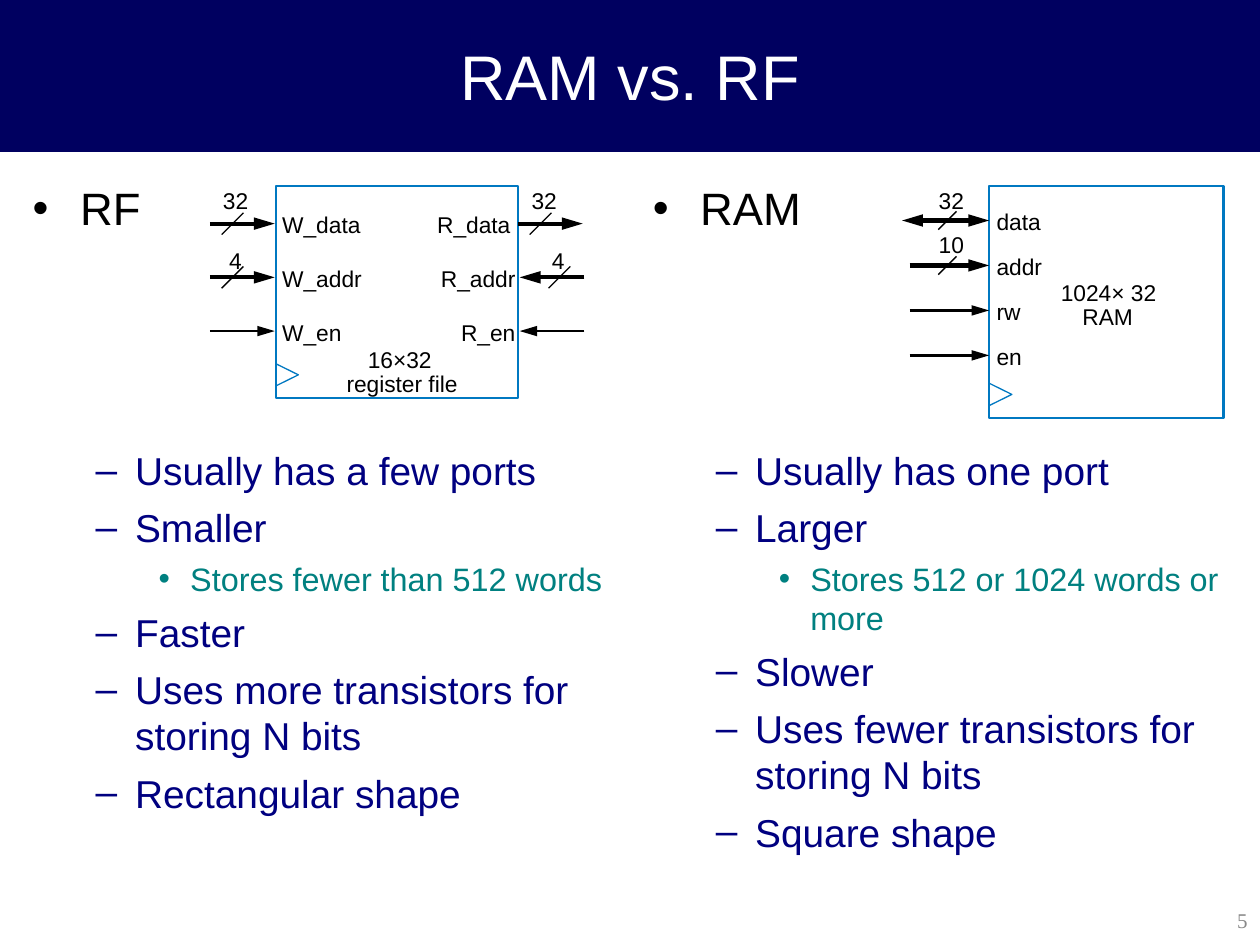
from lxml.etree import SubElement as Sub
from pptx import Presentation as Deck
from pptx.dml.color import RGBColor as RGB
from pptx.enum.shapes import MSO_CONNECTOR as Conn, MSO_SHAPE as Form
from pptx.enum.text import MSO_ANCHOR as Anchor, MSO_AUTO_SIZE as Fit, PP_ALIGN as Align
from pptx.oxml.ns import qn
from pptx.util import Pt

NAVY = RGB(0x00, 0x00, 0x60)
BLUE = RGB(0x00, 0x00, 0x80)
TEAL = RGB(0x00, 0x80, 0x80)
EDGE = RGB(0x00, 0x78, 0xC1)
GREY = RGB(0x89, 0x89, 0x89)
BLACK = RGB(0x00, 0x00, 0x00)
WHITE = RGB(0xFF, 0xFF, 0xFF)

LEVELS = [
    {"size": 25.9, "color": BLACK, "left": 27, "hang": 27, "gap": 0},
    {"size": 22.2, "color": BLUE, "left": 58.5, "hang": 22.5, "gap": 6},
    {"size": 18.5, "color": TEAL, "left": 90, "hang": 18, "gap": 5},
]
ART_GAP = 121
SLACK = 4
BARE = {"margin_left": 0, "margin_right": 0, "margin_top": 0, "margin_bottom": 0,
        "word_wrap": False, "auto_size": Fit.SHAPE_TO_FIT_TEXT}
PLAIN = {"word_wrap": True, "auto_size": Fit.NONE}

RF_LIST = [(0, "RF"), (1, "Usually has a few ports"), (1, "Smaller"),
           (2, "Stores fewer than 512 words"), (1, "Faster"),
           (1, "Uses more transistors for storing N bits"), (1, "Rectangular shape")]
RAM_LIST = [(0, "RAM"), (1, "Usually has one port"), (1, "Larger"),
            (2, "Stores 512 or 1024 words or more"), (1, "Slower"),
            (1, "Uses fewer transistors for storing N bits"), (1, "Square shape")]


def put(item, vals):
    """Set each named value on the item."""
    for name, val in vals.items():
        setattr(item, name, val)


def place(shape, left, top, width, height):
    """Move and size a shape, in points."""
    put(shape, {"left": Pt(left), "top": Pt(top), "width": Pt(width), "height": Pt(height)})


def ink(font, size, color, name="Arial"):
    """Give a font its face, size and colour."""
    put(font, {"name": name, "size": Pt(size)})
    font.color.rgb = color


def stroke(shape, color, width):
    """Give a shape its line."""
    shape.line.color.rgb = color
    shape.line.width = Pt(width)


def add_title(slide, text):
    """Fill the title band."""
    title = slide.shapes.title
    place(title, 0, 0, 720, 86.4)
    title.fill.solid()
    title.fill.fore_color.rgb = NAVY
    stroke(title, NAVY, 0.75)
    frame = title.text_frame
    put(frame, {"text": text, "vertical_anchor": Anchor.MIDDLE, **PLAIN})
    frame.paragraphs[0].alignment = Align.CENTER
    ink(frame.paragraphs[0].font, 36, WHITE)


def add_list(body, left, items):
    """Fill a list, leaving room for the diagram under its head."""
    place(body, left, 99.4, 342, 411.8)
    frame = body.text_frame
    put(frame, PLAIN)
    for i, (level, text) in enumerate(items):
        para = frame.add_paragraph() if i else frame.paragraphs[0]
        style = LEVELS[level]
        gap = ART_GAP if i == 1 else style["gap"]
        put(para, {"text": text, "level": level, "space_before": Pt(gap), "line_spacing": 1.0})
        ink(para.font, style["size"], style["color"])
        props = para._p.get_or_add_pPr()
        props.set("marL", str(Pt(style["left"])))
        props.set("indent", str(-Pt(style["hang"])))


def add_label(shapes, left, top, width, text):
    """Add a small diagram label."""
    box = shapes.add_textbox(Pt(left), Pt(top), Pt(width + SLACK), Pt(15.8))
    put(box.text_frame, {"text": text, **BARE})
    ink(box.text_frame.paragraphs[0].font, 13, BLACK)


def add_line(shapes, start, end, width, heads=()):
    """Add a straight line with arrowheads at the named ends."""
    points = [Pt(val) for val in (*start, *end)]
    line = shapes.add_connector(Conn.STRAIGHT, *points)
    stroke(line, BLACK, width)
    for head in heads:
        Sub(line.line._get_or_add_ln(), qn("a:" + head), type="triangle", w="med", len="lg")
    Sub(line._element.spPr, qn("a:effectLst"))


def add_tick(shapes, x, y, half):
    """Add the slash that marks a bus."""
    add_line(shapes, (x + half, y - half), (x - half, y + half), 0.75)


def add_block(shapes, left, top, width, height, line, clock):
    """Add the block's frame and its clock mark."""
    box = shapes.add_shape(Form.RECTANGLE, Pt(left), Pt(top), Pt(width), Pt(height))
    build = shapes.build_freeform(Pt(left), Pt(clock + 6.4))
    build.add_line_segments([(Pt(left + 13), Pt(clock)), (Pt(left), Pt(clock - 6.4))], close=False)
    for shape, weight in ((box, line), (build.convert_to_shape(), 0.75)):
        shape.fill.background()
        stroke(shape, EDGE, weight)
        shape.shadow.inherit = False


def add_ports(shapes, top, step, half, ports):
    """Add one row per port: arrow, label, and bus width if any."""
    for i, (start, end, heads, name, at, wide, bus) in enumerate(ports):
        y = top + step * i
        add_line(shapes, (start, y), (end, y), 2.38 if bus else 1.5, heads)
        add_label(shapes, at, y - 7.2, wide, name)
        if bus:
            text, x, lift, mid = bus
            add_label(shapes, x, y - lift, 7.2 * len(text), text)
            add_tick(shapes, mid, y, half)


def draw_rf(shapes):
    """Draw the register file."""
    add_block(shapes, 157.5, 106.5, 138.5, 121, 1.13, 214.2)
    tail = ["tailEnd"]
    add_ports(shapes, 127.8, 30.7, 6.2, [
        (120, 157, tail, "W_data", 161.3, 46, ("32", 127.4, 21.3, 132.9)),
        (120, 157, tail, "W_addr", 161.3, 46, ("4", 131, 17.4, 132.9)),
        (120, 157, tail, "W_en", 161.3, 35, None)])
    add_ports(shapes, 127.8, 30.7, 6.2, [
        (296, 333, tail, "R_data", 249.8, 42, ("32", 303.8, 21.3, 308.9)),
        (334, 297, tail, "R_addr", 252, 43, ("4", 315.4, 17.4, 319.7)),
        (334, 297, tail, "R_en", 263.5, 32, None)])
    add_label(shapes, 210.2, 197.3, 37, "16×32")
    add_label(shapes, 198, 211, 64, "register file")


def draw_ram(shapes):
    """Draw the memory."""
    add_block(shapes, 565.2, 106.5, 134, 132.5, 1.25, 225.4)
    tail = ["tailEnd"]
    add_ports(shapes, 126, 25.7, 5.2, [
        (515.5, 565.2, ["headEnd", "tailEnd"], "data", 569.5, 26, ("32", 536.4, 19.4, 541.4)),
        (519.8, 565.2, tail, "addr", 569.5, 27, ("10", 536.4, 20, 541.4)),
        (519.8, 565.2, tail, "rw", 569.5, 14, None),
        (519.8, 565.2, tail, "en", 569.5, 15, None)])
    add_label(shapes, 606.2, 159.1, 56, "1024× 32")
    add_label(shapes, 618.5, 172.8, 30, "RAM")


def add_page(slide, text):
    """Add the page number."""
    box = slide.shapes.add_textbox(Pt(567.4), Pt(511.2), Pt(152.6), Pt(28.8))
    put(box.text_frame, {"text": text, "vertical_anchor": Anchor.MIDDLE, **PLAIN})
    para = box.text_frame.paragraphs[0]
    para.alignment = Align.RIGHT
    ink(para.font, 12, GREY, "Times New Roman")


def main():
    """Build the slide and save it."""
    deck = Deck()
    put(deck, {"slide_width": Pt(720), "slide_height": Pt(540)})
    slide = deck.slides.add_slide(deck.slide_layouts[3])
    add_title(slide, "RAM vs. RF")
    add_list(slide.placeholders[1], 11.5, RF_LIST)
    add_list(slide.placeholders[2], 365.8, RAM_LIST)
    add_page(slide, "5")
    draw_ram(slide.shapes)
    draw_rf(slide.shapes.add_group_shape().shapes)
    deck.save("out.pptx")


if __name__ == "__main__":
    main()
